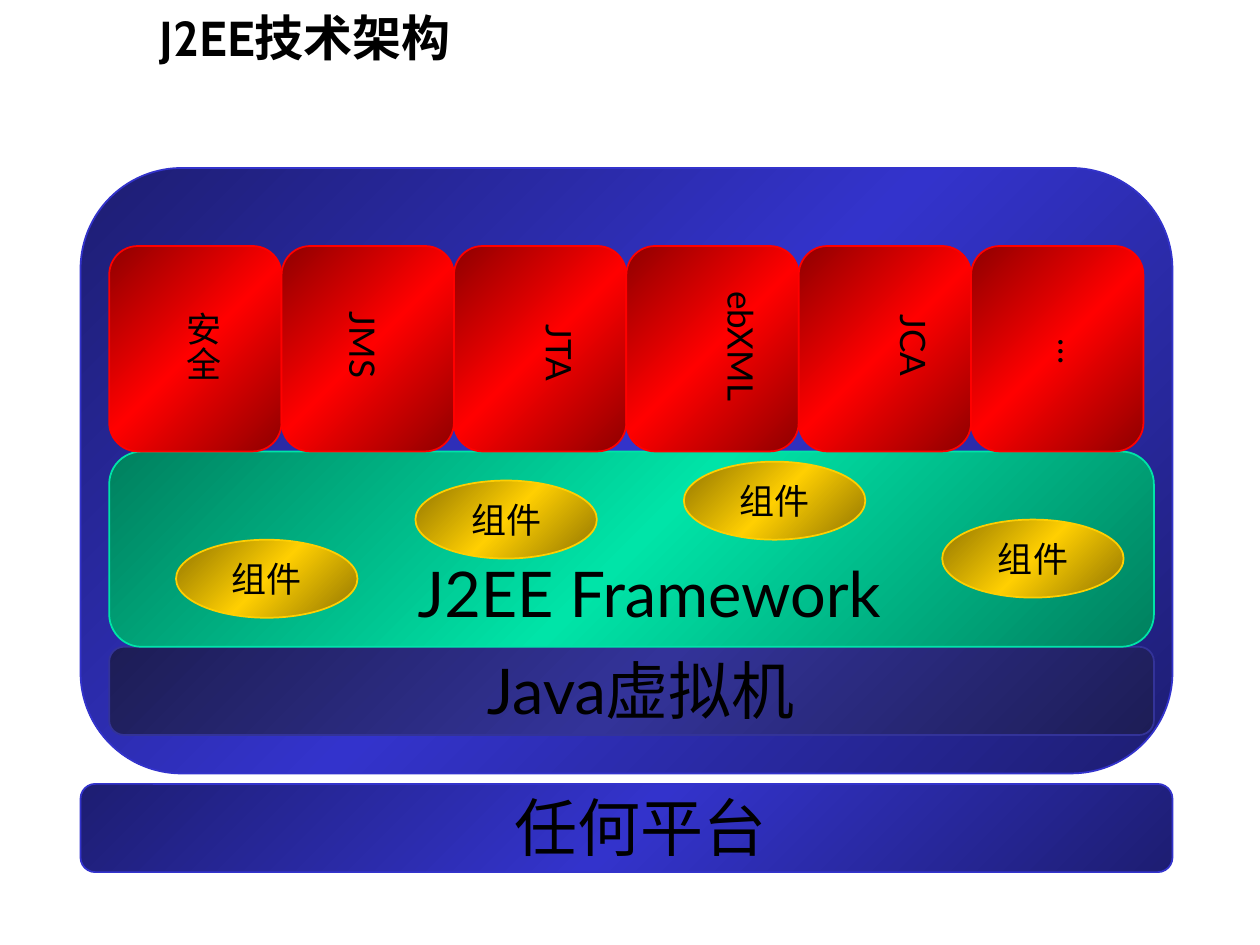
import copy
from dataclasses import dataclass

import pptx
import pptx.util
from pptx.dml.color import RGBColor
from pptx.enum.dml import MSO_LINE
from pptx.enum.shapes import MSO_SHAPE
from pptx.enum.text import MSO_ANCHOR, MSO_AUTO_SIZE, PP_ALIGN
from pptx.oxml.ns import qn

Pt = pptx.util.Pt


@dataclass(frozen=True)
class Theme:
    """Colours as (edge, middle) pairs, fonts and type sizes."""
    ink: str = "000000"
    blue: tuple = ("1D1D72", "3333CC")
    navy: tuple = ("1D1D56", "333399")
    green: tuple = ("00805E", "00E4A8")
    red: tuple = ("8F0000", "FF0000")
    gold: tuple = ("8F7401", "FFCF01")
    title_font: str = "Cabin"
    font: str = "Lato"
    part_font: str = "Arial"
    title: int = 28
    layer: int = 36
    label: int = 20


T = Theme()


def add_block(s, kind, box, colours):
    """Add a shape with a diagonal edge-middle-edge gradient."""
    sp = s.shapes.add_shape(kind, *map(Pt, box))
    sp.shadow.inherit = False
    edge, middle = map(RGBColor.from_string, colours)
    sp.fill.gradient()
    sp.fill.gradient_angle = 315
    stops = sp._element.spPr.find(".//" + qn("a:gsLst"))
    stops.insert(1, copy.deepcopy(stops[0]))
    for stop, pos, rgb in zip(sp.fill.gradient_stops, (0, 0.5, 1), (edge, middle, edge)):
        stop.position = pos
        stop.color.rgb = rgb
    sp.line.color.rgb = middle
    sp.line.width = Pt(1)
    sp.line.dash_style = MSO_LINE.SOLID
    if kind == MSO_SHAPE.ROUNDED_RECTANGLE:
        sp.adjustments[0] = 0.167
    return sp


def add_label(s, text, box, size, font=T.font, vertical=False, wrap=False):
    """Add a centred one-line label."""
    tf = s.shapes.add_textbox(*map(Pt, box)).text_frame
    tf.word_wrap = wrap
    tf.auto_size = MSO_AUTO_SIZE.SHAPE_TO_FIT_TEXT
    inset_x, inset_y = (3.6, 7.2) if vertical else (7.2, 3.6)
    tf.margin_left = tf.margin_right = Pt(inset_x)
    tf.margin_top = tf.margin_bottom = Pt(inset_y)
    if vertical:
        tf._txBody.bodyPr.set("vert", "eaVert")
    tf.text = text
    p = tf.paragraphs[0]
    p.alignment = PP_ALIGN.CENTER
    p.line_spacing = 0.85
    p.font.size = Pt(size)
    p.font.name = font
    p.font.color.rgb = RGBColor.from_string(T.ink)


def add_title(s, text, box):
    """Place and format the title placeholder."""
    sp = s.shapes.title
    sp.left, sp.top, sp.width, sp.height = map(Pt, box)
    tf = sp.text_frame
    tf.vertical_anchor = MSO_ANCHOR.MIDDLE
    tf.text = text
    p = tf.paragraphs[0]
    p.alignment = PP_ALIGN.LEFT
    f = p.runs[0].font
    f.size, f.name, f.bold = Pt(T.title), T.title_font, True
    f.color.rgb = RGBColor.from_string(T.ink)


def add_layer(s, text, box, colours, dx, dy):
    """Add a wide layer with its name offset from the top-left corner."""
    x, y, w, h = box
    add_block(s, MSO_SHAPE.ROUNDED_RECTANGLE, box, colours)
    add_label(s, text, (x + dx, y + dy, 312, 44), T.layer, wrap=True)


def add_framework(s, box):
    """Add the framework layer and the components floating in it."""
    x, y, w, h = box
    add_layer(s, "J2EE Framework", box, T.green, 152.6, 62)
    for dx, dy in ((38.2, 50.4), (175, 16.6), (328.4, 5.8), (476, 38.9)):
        oval = (x + dx, y + dy, 103.7, 44.6)
        add_block(s, MSO_SHAPE.OVAL, oval, T.gold)
        add_label(s, "组件", (oval[0] + 21.9, oval[1] + 10.4, 60, 28),
                  T.label, T.part_font, wrap=True)


def add_services(s, box):
    """Add the row of equal service cards with vertical names."""
    x, y, w, h = box
    services = (("安全", 30.5, 30.5, 47.5), ("JMS", 24, 30.3, 67),
                ("JTA", 37.8, 37.5, 36.7), ("ebXML", 43.2, 18.6, 71.3),
                ("JCA", 43.2, 32.1, 38.2), ("…", 35.3, 45.5, 23))
    step = w / len(services)
    for i, (text, dx, dy, length) in enumerate(services):
        left = x + i * step
        add_block(s, MSO_SHAPE.ROUNDED_RECTANGLE, (left, y, step, h), T.red)
        add_label(s, text, (left + dx, y + dy, 34.6, length), T.label,
                  vertical=True, wrap=text == "JMS")


def add_server(s, box):
    """Add the server frame holding services, framework and virtual machine."""
    x, y, w, h = box
    add_block(s, MSO_SHAPE.ROUNDED_RECTANGLE, box, T.blue)
    left, width = x + 16.4, 597
    add_layer(s, "Java虚拟机", (left, y + 273.6, width, 50.4), T.navy, 147.8, 5.8)
    add_framework(s, (left, y + 162, width, 111.6))
    add_services(s, (left, y + 44.6, 591, 117.4))


def main():
    """Build the architecture slide."""
    prs = pptx.Presentation()
    prs.slide_width, prs.slide_height = Pt(720), Pt(540)
    s = prs.slides.add_slide(prs.slide_layouts[5])
    add_title(s, "J2EE技术架构", (84, -24, 612, 90))
    add_server(s, (46, 96, 624, 346))
    add_layer(s, "任何平台", (46, 448, 624, 50.4), T.blue, 164.2, 5.8)
    prs.save("out.pptx")


if __name__ == "__main__":
    main()
